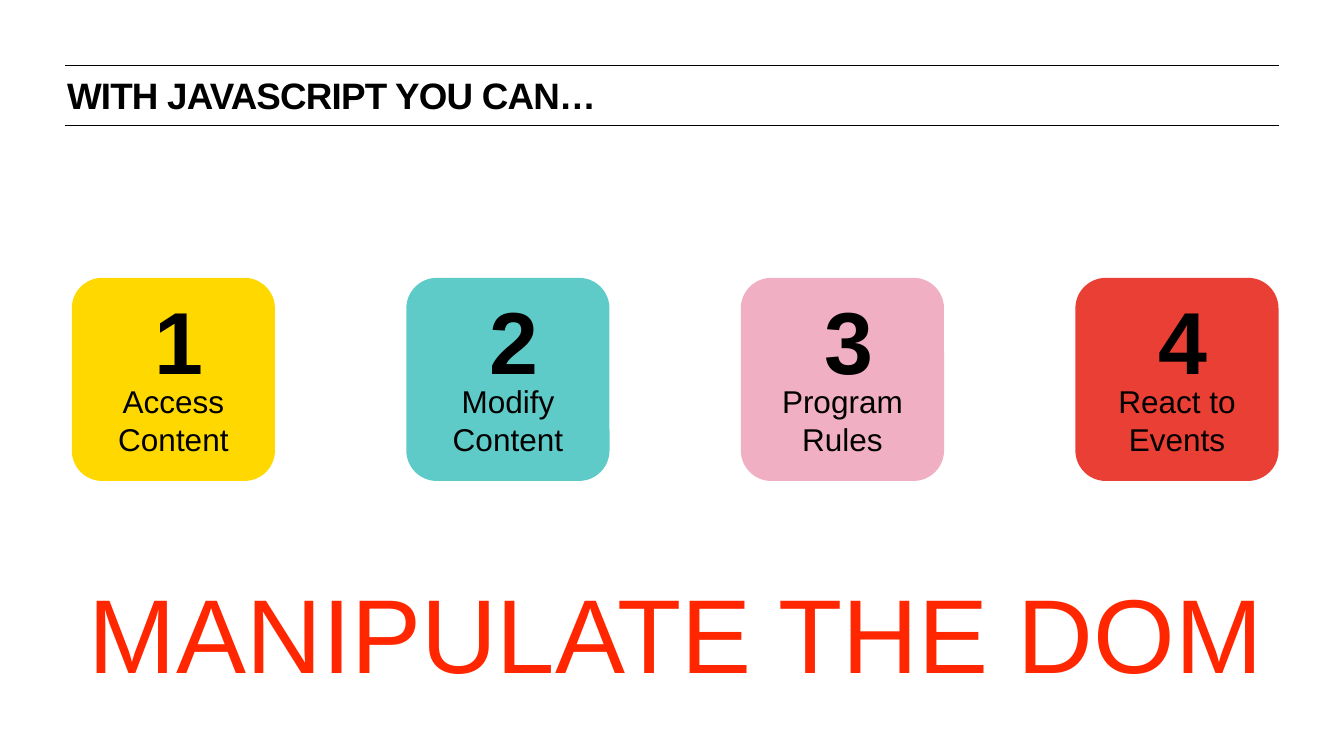
from pptx import Presentation
from pptx.dml.color import RGBColor
from pptx.enum.shapes import MSO_CONNECTOR, MSO_SHAPE
from pptx.enum.text import MSO_ANCHOR, PP_ALIGN
from pptx.oxml.ns import qn
from pptx.util import Inches, Pt

BLACK = "000000"
HEADLINE_RED = "FF2600"
ABILITIES = [
    ("FFD800", ["Access", "Content"]),
    ("5FCBC8", ["Modify", "Content"]),
    ("F1AFC3", ["Program", "Rules"]),
    ("E93F34", ["React to", "Events"]),
]

# Percentages of the slide's width (x) and height (y)
MARGIN = 4.85
TILE_LEFT, TILE_TOP = 5.34, 36.8
TILE_WIDTH, TILE_HEIGHT = 15.12, 26.91
TILE_PITCH = 24.89


def color(hex_string):
    return RGBColor.from_string(hex_string)


class SlideBuilder:
    """Places styled elements, with lengths in percent of the slide."""

    font = "Arial"

    def __init__(self, deck):
        self.deck = deck
        self.slide = deck.slides.add_slide(deck.slide_layouts[6])

    def box(self, left, top, width, height):
        """Turn percentages into absolute lengths."""
        across, down = self.deck.slide_width, self.deck.slide_height
        shares = ((left, across), (top, down), (width, across), (height, down))
        return [round(share * side / 100) for share, side in shares]

    def rule(self, top):
        left, y, width, _ = self.box(MARGIN, top, 100 - 2 * MARGIN, 0)
        line = self.slide.shapes.add_connector(
            MSO_CONNECTOR.STRAIGHT, left, y, left + width, y)
        line.line.color.rgb = color(BLACK)
        line.line.width = Pt(1)
        properties = line._element.spPr
        properties.append(properties.makeelement(qn("a:effectLst"), {}))

    def tile(self, left, top, width, height, fill):
        tile = self.slide.shapes.add_shape(
            MSO_SHAPE.ROUNDED_RECTANGLE, *self.box(left, top, width, height))
        tile.adjustments[0] = 0.15
        tile.shadow.inherit = False
        tile.fill.solid()
        tile.fill.fore_color.rgb = color(fill)
        tile.line.fill.background()

    def text(self, left, top, width, height, lines, size, ink=BLACK, bold=False,
             align=PP_ALIGN.LEFT, anchor=MSO_ANCHOR.MIDDLE, inset=0.06):
        """Add a text box and return its paragraphs."""
        frame = self.slide.shapes.add_textbox(
            *self.box(left, top, width, height)).text_frame
        frame.word_wrap = True
        frame.vertical_anchor = anchor
        frame.margin_left = frame.margin_right = Inches(inset)
        frame.margin_top = frame.margin_bottom = Inches(inset)
        frame.text = "\n".join(lines)
        for paragraph in frame.paragraphs:
            paragraph.alignment = align
            paragraph.font.name = self.font
            paragraph.font.size = Pt(size)
            paragraph.font.bold = bold
            paragraph.font.color.rgb = color(ink)
        return frame.paragraphs

    def title(self, wording):
        paragraph = self.text(4.99, 9.89, 59.35, 5.51, [wording], 28, bold=True,
                              anchor=MSO_ANCHOR.TOP, inset=0)[0]
        paragraph.line_spacing = Pt(32)
        paragraph.runs[0].font._element.set("spc", "-60")

    def ability(self, index, fill, label):
        """Add a numbered tile with its label."""
        left = TILE_LEFT + index * TILE_PITCH
        self.tile(left, TILE_TOP, TILE_WIDTH, TILE_HEIGHT, fill)
        self.text(left, 49.81, TILE_WIDTH, 11.51, label, 24,
                  align=PP_ALIGN.CENTER)
        self.text(left + 5.77, 37.3, 5.63, 15.27, [str(index + 1)], 67, bold=True)


def main():
    deck = Presentation()
    deck.slide_width, deck.slide_height = Inches(14.22), Inches(7.99)
    builder = SlideBuilder(deck)
    for top in (8.64, 16.65):
        builder.rule(top)
    builder.title("WITH JAVASCRIPT YOU CAN…")
    for index, (fill, label) in enumerate(ABILITIES):
        builder.ability(index, fill, label)
    builder.text(6.19, 74.59, 90.44, 18.02, ["MANIPULATE THE DOM"], 80,
                 ink=HEADLINE_RED)
    deck.save("out.pptx")


if __name__ == "__main__":
    main()
